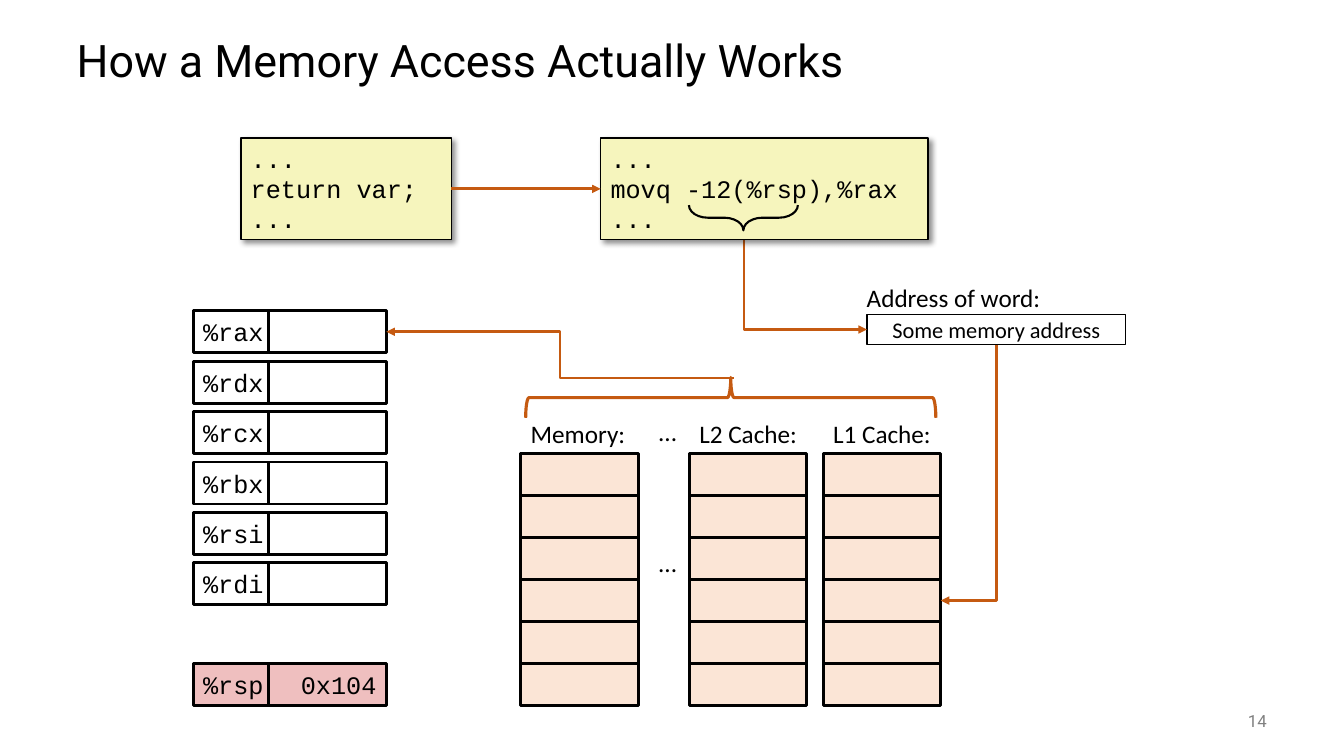
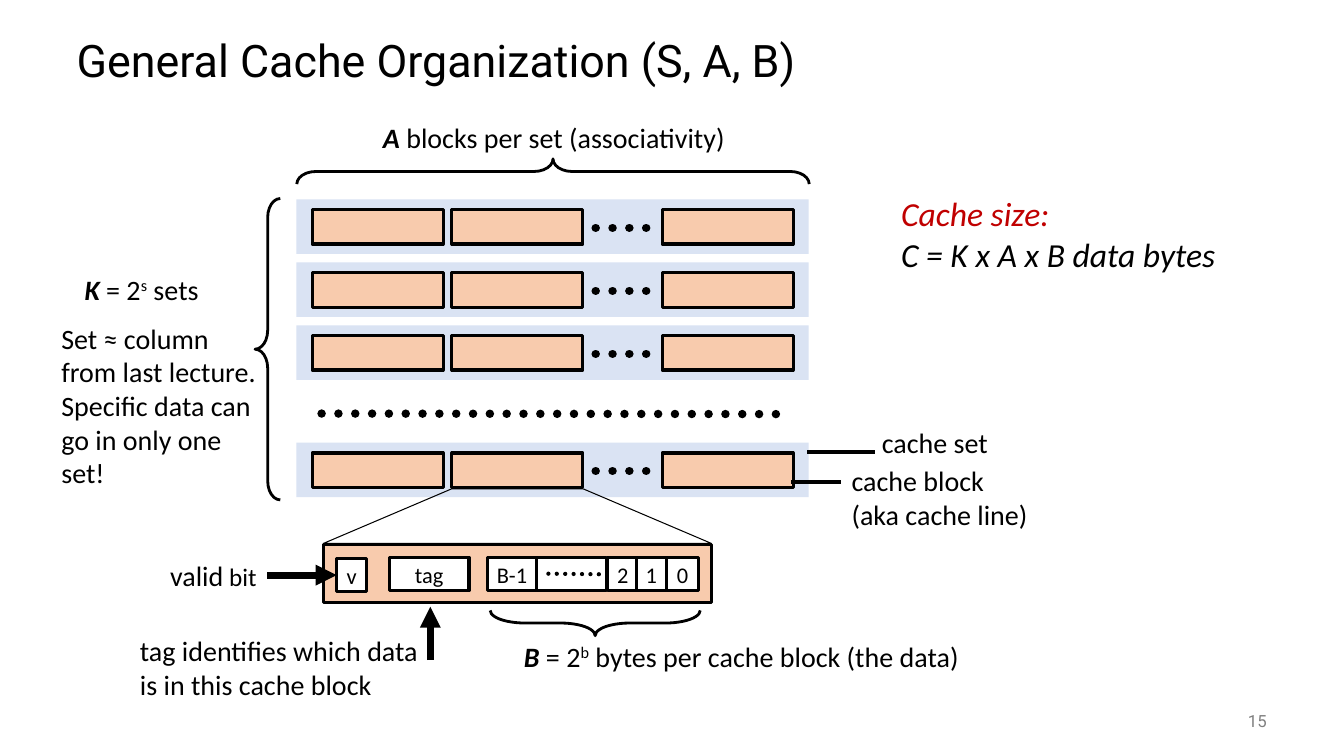
from pptx import Presentation
from pptx.dml.color import RGBColor
from pptx.enum.dml import MSO_LINE
from pptx.enum.shapes import MSO_CONNECTOR, MSO_SHAPE
from pptx.enum.text import MSO_ANCHOR, PP_ALIGN
from pptx.oxml import parse_xml
from pptx.oxml.ns import nsdecls, qn
from pptx.util import Pt
from lxml.etree import SubElement

BLACK = RGBColor(0x00, 0x00, 0x00)
WHITE = RGBColor(0xFF, 0xFF, 0xFF)
GREY = RGBColor(0x80, 0x80, 0x80)
RED = RGBColor(0xC0, 0x00, 0x00)
RUST = RGBColor(0xC5, 0x5A, 0x11)
PEACH = RGBColor(0xFB, 0xE5, 0xD6)
ORANGE = RGBColor(0xF8, 0xCB, 0xAD)
PINK = RGBColor(0xEF, 0xBF, 0xBF)
YELLOW = RGBColor(0xF6, 0xF5, 0xBD)
BLUE = RGBColor(0xDA, 0xE3, 0xF3)
SANS, MONO, HEAD = "Calibri", "Courier New", "Roboto"
LEFT, MID, RIGHT = PP_ALIGN.LEFT, PP_ALIGN.CENTER, PP_ALIGN.RIGHT
RECT, BRACE = MSO_SHAPE.RECTANGLE, MSO_SHAPE.LEFT_BRACE
KEY = {"bold": True, "italic": True}
SHADOW = (
    f'<a:effectLst {nsdecls("a")}><a:outerShdw blurRad="50800" dist="38100" '
    'dir="2700000" algn="tl" rotWithShape="0"><a:srgbClr val="000000">'
    '<a:alpha val="43000"/></a:srgbClr></a:outerShdw></a:effectLst>'
)


def put(page, x, y, w, h, text="", kind=None, fill=None, line=None, width=2,
        turn=0, bend=None, wrap=False, align=LEFT, anchor=None,
        font=SANS, size=20, color=BLACK, shade=False):
    area = [Pt(n) for n in (x, y, w, h)]
    if kind is None:
        shape = page.shapes.add_textbox(*area)
    else:
        shape = page.shapes.add_shape(kind, *area)
        shape.shadow.inherit = False
        shape.rotation = turn
        if bend:
            shape.adjustments[0] = bend
        if fill is None:
            shape.fill.background()
        else:
            shape.fill.solid()
            shape.fill.fore_color.rgb = fill
        if line is None:
            shape.line.fill.background()
        else:
            shape.line.color.rgb = line
            shape.line.width = Pt(width)
        if shade:
            props = shape.element.spPr
            props.replace(props.find(qn("a:effectLst")), parse_xml(SHADOW))
    if not text:
        return shape
    frame = shape.text_frame
    frame.word_wrap = wrap
    frame.vertical_anchor = anchor or (MSO_ANCHOR.MIDDLE if kind else MSO_ANCHOR.TOP)
    for i, row in enumerate([text] if isinstance(text, str) else text):
        para = frame.add_paragraph() if i else frame.paragraphs[0]
        para.alignment = align
        for words, style in [(row, {})] if isinstance(row, str) else row:
            run = para.add_run()
            run.text = words
            run.font.name = font
            run.font.size = Pt(style.get("size", size))
            run.font.color.rgb = style.get("color", color)
            run.font.bold = style.get("bold")
            run.font.italic = style.get("italic")
            if style.get("up"):
                run.font._element.set("baseline", "30000")
    return shape


def link(page, x1, y1, x2, y2, color=BLACK, width=2, kind=MSO_CONNECTOR.STRAIGHT,
         head=None, start=None, end=None, dots=False, corner=False):
    wire = page.shapes.add_connector(kind, Pt(x1), Pt(y1), Pt(x2), Pt(y2))
    wire.line.color.rgb = color
    wire.line.width = Pt(width)
    props = wire.element.spPr
    if corner:
        props.find(qn("a:prstGeom")).set("prst", "bentConnector2")
    if dots:
        wire.line.dash_style = MSO_LINE.ROUND_DOT
        props.find(qn("a:ln")).set("cap", "rnd")
    if head:
        SubElement(props.find(qn("a:ln")), qn("a:" + head)).set("type", "triangle")
    SubElement(props, qn("a:effectLst"))
    if start:
        wire.begin_connect(*start)
    if end:
        wire.end_connect(*end)
    return wire


deck = Presentation()
deck.slide_width, deck.slide_height = Pt(960), Pt(540)
pages = []
for num, name in ((14, "How a Memory Access Actually Works"),
                  (15, "General Cache Organization (S, A, B)")):
    page = deck.slides.add_slide(deck.slide_layouts[5])
    title = page.shapes.title
    title.left, title.top, title.width, title.height = Pt(47.5), Pt(18), Pt(864), Pt(54)
    title.text_frame.text = name
    title.text_frame.vertical_anchor = MSO_ANCHOR.MIDDLE
    para = title.text_frame.paragraphs[0]
    para.alignment = LEFT
    para.line_spacing = 0.9
    para.font.name = HEAD
    para.font.size = Pt(32)
    para.font.color.rgb = BLACK
    put(page, 840, 500.4, 72, 28.8, str(num), wrap=True, align=RIGHT,
        anchor=MSO_ANCHOR.MIDDLE, font=HEAD, size=12, color=GREY)
    pages.append(page)

page = pages[0]
word = put(page, 619.2, 224.6, 185, 21.6, "Some memory address", RECT, WHITE, BLACK, 1,
           wrap=True, align=MID, size=16)
put(page, 612, 198, 142.5, 29, "Address of word:", size=18)

cells = {}
for x, name in ((372, "Memory:"), (492.4, "L2 Cache:"), (588, "L1 Cache:")):
    put(page, x, 295.2, 85, 29, name, size=18)
    cells[name] = [put(page, x, 324 + 30 * i, 84, 30, kind=RECT, fill=PEACH, line=BLACK)
                   for i in range(6)]
for y in (293.8, 387.4):
    put(page, 463, y, 29, 29, "...", size=18)

regs = {}
for i, name in zip((0, 1, 2, 3, 4, 5, 7),
                   ("%rax", "%rdx", "%rcx", "%rbx", "%rsi", "%rdi", "%rsp")):
    y = 222 + 36 * i
    last = name == "%rsp"
    fill = PINK if last else WHITE
    put(page, 138, y, 54, 30, name, RECT, fill, BLACK, font=MONO, size=18)
    regs[name] = put(page, 192, y, 84, 30, "0x104" if last else "", RECT, fill, BLACK,
                     align=RIGHT, font=MONO, size=18)

bent = {"color": RUST, "kind": MSO_CONNECTOR.ELBOW}
link(page, 619.2, 235.4, 531.4, 136.8, head="headEnd", corner=True, start=(word, 1), **bent)
link(page, 672, 429, 711.7, 246.2, head="headEnd", corner=True,
     start=(cells["L1 Cache:"][3], 3), end=(word, 2), **bent)
link(page, 524, 270, 276, 237, head="tailEnd", end=(regs["%rax"], 3), **bent)

codes = [put(page, x, 98.6, w, 72.7, ["...", row, "..."], RECT, YELLOW, BLACK, 1,
             wrap=True, anchor=MSO_ANCHOR.TOP, font=MONO, size=18, shade=True)
         for x, w, row in ((172, 150.5, "return var;"), (429, 234, "movq -12(%rsp),%rax"))]
put(page, 522, 116.6, 18, 77.8, kind=BRACE, line=BLACK, width=1.5, turn=270, bend=0.75)
link(page, 322.5, 135, 429, 135, RUST, head="tailEnd", start=(codes[0], 3), end=(codes[1], 1))
put(page, 507.6, 137.5, 28.8, 293, kind=MSO_SHAPE.RIGHT_BRACE, line=RUST, width=2.25, turn=270)

page = pages[1]
for x, y, h, turn, bend in ((386, -60.5, 366, 90, 0.75), (182.2, 141.8, 215.3, 0, 0.75),
                            (416.2, 370, 150, 270, 1.37)):
    put(page, x, y, 18, h, kind=BRACE, line=BLACK, turn=turn, bend=bend)

slab = {"kind": RECT, "fill": ORANGE, "line": BLACK, "width": 2.25}
for y in (142.5, 187.5, 232.5, 316.2):
    put(page, 211.7, y, 366, 38.9, kind=RECT, fill=BLUE)
    link(page, 425.5, y + 20.2, 473, y + 20.2, width=6, dots=True)
    for x in (223, 322.8, 473):
        put(page, x, y + 7.4, 93.6, 24.5, **slab)
link(page, 229.7, 295.4, 566, 295.8, width=6, dots=True)

put(page, 231, 349.2, 277.2, 39, kind=MSO_SHAPE.TRAPEZOID, line=BLACK, width=0.75, bend=2.349)
put(page, 231, 388.8, 277.2, 41.8, **slab)
parts = {}
for x, w, name in ((240.5, 21.6, "v"), (278, 57, "tag"), (348.5, 34.5, "B-1"), (383, 50.5, ""),
                   (434, 21.6, "2"), (454.5, 21.6, "1"), (476, 23, "0")):
    parts[name] = put(page, x, 398.9 if name == "v" else 398.2, w, 23.8, name, RECT,
                      WHITE, BLACK, 2.25, align=MID, size=16)
link(page, 391.7, 409.8, 428, 410.2, width=3, dots=True)

UP = {"up": True}
put(page, 240.5, 82.8, 310.3, 31.5, [[("A", KEY), (" blocks per set (associativity)", {})]],
    wrap=True, align=MID)
put(page, 53.3, 190.8, 98, 31.5, [[("K", KEY), (" = 2", {}), ("s", UP), (" sets", {})]])
put(page, 367.2, 452.9, 329, 31.5,
    [[("B", KEY), (" = 2", {}), ("b", UP), (" bytes per cache block (the data)", {})]])
put(page, 636.5, 134.6, 241.2, 65.5,
    [[("Cache size:", {"italic": True, "color": RED})],
     [("C = K x A x B data bytes", {"italic": True})]], size=24)
put(page, 114.5, 395.3, 77, 31.5, [[("valid", {}), (" bit", {"size": 18})]])
put(page, 622.8, 300.2, 91.4, 31.5, "cache set")
put(page, 601.2, 327.6, 141.8, 55.4, ["cache block", "(aka cache line)"])
put(page, 36.7, 226, 154, 128,
    ["Set ≈ column from last lecture.", "Specific data can go in only one set!"], wrap=True)
put(page, 92.9, 449.3, 220.3, 55.4, "tag identifies which data is in this cache block", wrap=True)

link(page, 576.7, 322.6, 625, 322.6, width=3)
link(page, 565.2, 344.2, 600.5, 344.2, width=3)
link(page, 190.8, 410.8, 240.5, 410.8, width=5, head="tailEnd", end=(parts["v"], 1))
link(page, 307.4, 471.6, 307.4, 433.4, width=5, head="tailEnd")

deck.save("out.pptx")
